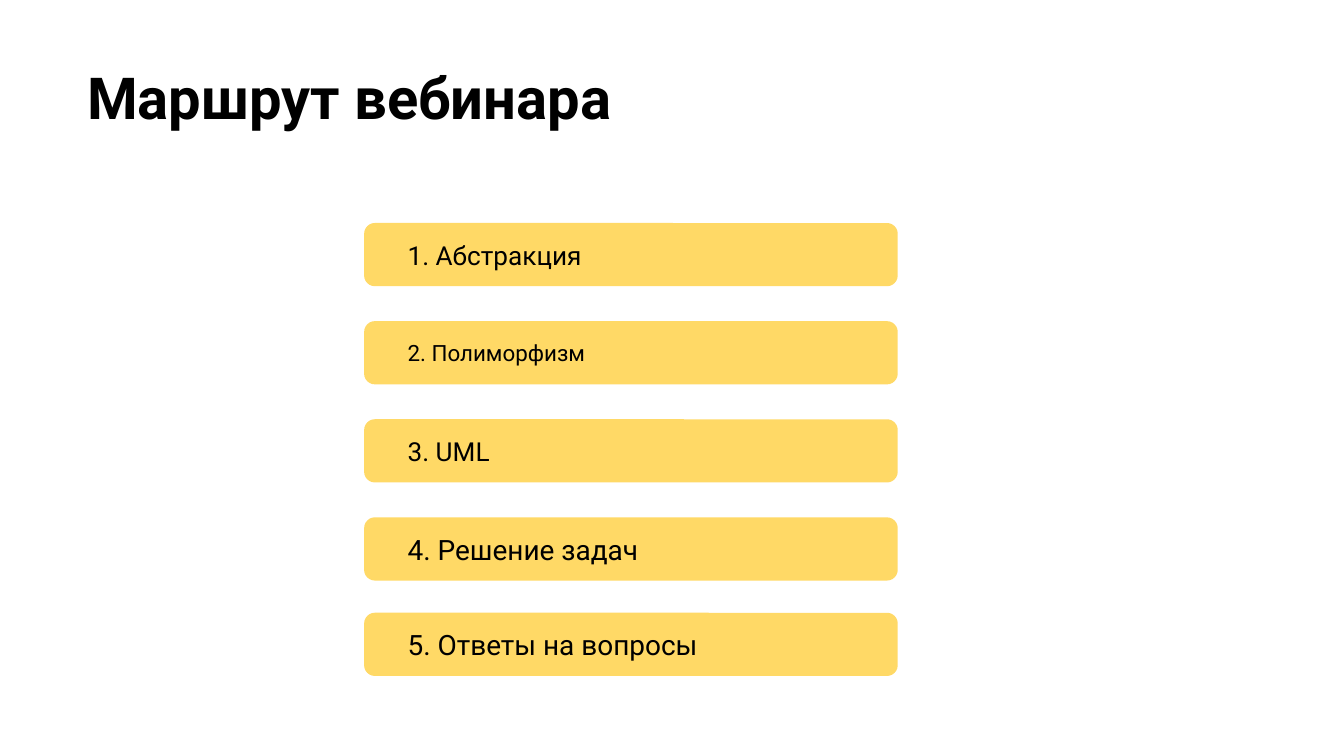
from dataclasses import dataclass

from pptx import Presentation
from pptx.dml.color import RGBColor
from pptx.enum.shapes import MSO_SHAPE
from pptx.enum.text import MSO_ANCHOR, MSO_AUTO_SIZE, PP_ALIGN
from pptx.slide import Slide
from pptx.text.text import TextFrame
from pptx.util import Inches, Pt

BLACK = RGBColor(0x00, 0x00, 0x00)
YELLOW = RGBColor(0xFF, 0xD9, 0x66)
FONT = "Roboto"
ROUND_RECT = MSO_SHAPE.ROUNDED_RECTANGLE
TOP, MIDDLE = MSO_ANCHOR.TOP, MSO_ANCHOR.MIDDLE
LEFT = PP_ALIGN.LEFT
NO_FIT = MSO_AUTO_SIZE.NONE


@dataclass
class Step:
    text: str
    top: float
    size: int


FIRST_TOP, PITCH = 1.66, 0.73
STEPS = [
    Step("1. Абстракция", FIRST_TOP, 14),
    Step("2. Полиморфизм", FIRST_TOP + PITCH, 12),
    Step("3. UML", FIRST_TOP + 2 * PITCH, 14),
    Step("4. Решение задач", FIRST_TOP + 3 * PITCH, 15),
    Step("5. Ответы на вопросы", 4.56, 15),
]


def write(tf: TextFrame, text: str, size: int, bold: bool,
          anchor: MSO_ANCHOR, side: float) -> None:
    tf.text = text
    tf.word_wrap = True
    tf.auto_size = NO_FIT
    tf.vertical_anchor = anchor
    tf.margin_left = tf.margin_right = Inches(side)
    tf.margin_top = tf.margin_bottom = Inches(0.1)
    p = tf.paragraphs[0]
    p.alignment = LEFT
    p.line_spacing = 1.0
    font = p.runs[0].font
    font.name = FONT
    font.size = Pt(size)
    font.bold = bold
    font.color.rgb = BLACK


def add_title(s: Slide, text: str) -> None:
    sp = s.shapes.title
    sp.left, sp.top = Inches(0.55), Inches(0.36)
    sp.width, sp.height = Inches(9.32), Inches(1.07)
    write(sp.text_frame, text, 31, True, TOP, 0.1)


def add_step(s: Slide, step: Step) -> None:
    sp = s.shapes.add_shape(ROUND_RECT, Inches(2.71), Inches(step.top),
                            Inches(3.97), Inches(0.47))
    sp.adjustments[0] = 0.17
    sp.shadow.inherit = False
    sp.fill.solid()
    sp.fill.fore_color.rgb = YELLOW
    sp.line.fill.background()
    write(sp.text_frame, step.text, step.size, False, MIDDLE, 0.3)


def main() -> None:
    prs = Presentation()
    prs.slide_width = Inches(10)
    prs.slide_height = prs.slide_width * 9 // 16
    s = prs.slides.add_slide(prs.slide_layouts[5])
    add_title(s, "Маршрут вебинара")
    for step in STEPS:
        add_step(s, step)
    prs.save("out.pptx")


if __name__ == "__main__":
    main()
